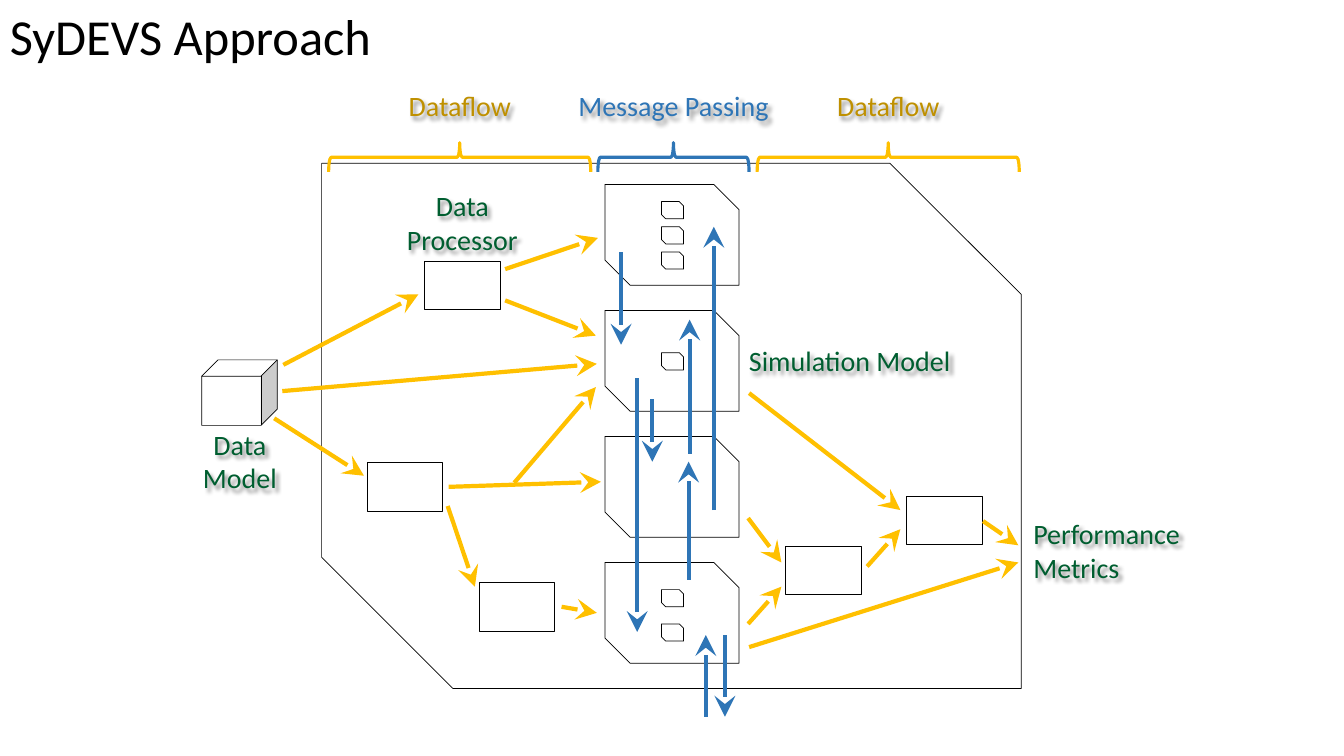
from lxml import etree
from pptx import Presentation
from pptx.dml.color import RGBColor
from pptx.enum.shapes import MSO_CONNECTOR, MSO_SHAPE
from pptx.enum.text import MSO_AUTO_SIZE, PP_ALIGN
from pptx.oxml import parse_xml
from pptx.oxml.ns import nsdecls, qn
from pptx.util import Inches, Pt

SNIP = MSO_SHAPE.SNIP_2_DIAG_RECTANGLE
RECT = MSO_SHAPE.RECTANGLE
CUBE = MSO_SHAPE.CUBE
BRACE = MSO_SHAPE.RIGHT_BRACE
LINE = MSO_CONNECTOR.STRAIGHT
GROW = MSO_AUTO_SIZE.SHAPE_TO_FIT_TEXT
LEFT, MID = PP_ALIGN.LEFT, PP_ALIGN.CENTER

BLACK, WHITE = "000000", "FFFFFF"
GOLD, OCHRE, BLUE, GREEN = "FFC000", "BF9000", "2E75B6", "005E30"

TITLE = "SyDEVS Approach"
FRAME = (3.19, 1.62, 6.94, 5.21)
MODELS = {"left": 6, "top": 1.83, "step": 1.25, "count": 4}
CELLS = [2, 2.25, 2.5, 3.5, 5.85, 6.19]
STORE = (2, 3.57, 0.75, 0.65)
NODES = [(4.21, 2.59), (3.64, 4.59), (4.75, 5.78), (7.79, 5.42), (8.99, 4.92)]
FLOWS = [
    (5.1, 4.79, 5.91, 3.84),
    (2.81, 3.62, 4.15, 2.92),
    (2.72, 4.15, 3.61, 4.72),
    (2.8, 3.88, 5.92, 3.61),
    (5.01, 2.67, 5.93, 2.36),
    (5.01, 2.98, 5.91, 3.33),
    (4.45, 4.83, 5.96, 4.78),
    (5.57, 6.02, 5.92, 6.08),
    (4.44, 5.02, 4.71, 5.82),
    (7.43, 3.9, 8.93, 5.06),
    (7.42, 5.14, 7.75, 5.58),
    (7.42, 6.19, 7.75, 5.82),
    (8.6, 5.62, 8.93, 5.25),
    (9.75, 5.17, 10.1, 5.41),
    (7.43, 6.42, 10.1, 5.58),
]
CALLS = [
    (6.16, 2.5, 3.42),
    (6.32, 3.75, 6.27),
    (6.83, 5.75, 4.58),
    (7.08, 5.06, 2.25),
    (6.84, 4.5, 3.17),
    (7, 7.11, 6.3),
    (7.19, 6.3, 7.11),
    (6.47, 3.96, 4.58),
]
SPANS = [
    ("Dataflow", 4.56, 2.6, 1.57, GOLD, OCHRE),
    ("Message Passing", 6.68, 1.5, 2.64, BLUE, BLUE),
    ("Dataflow", 8.81, 2.6, 1.57, GOLD, OCHRE),
]
LABELS = [
    (["Simulation Model"], (7.33, 3.36, 2.4, 0.44), LEFT),
    (["Data Processor"], (3.76, 1.82, 1.65, 0.77), MID),
    (["Data Model"], (1.88, 4.19, 1, 0.77), MID),
    (["Performance", "Metrics"], (10.15, 5.08, 1.85, 0.77), LEFT),
]
GLOW = (
    f'<a:effectLst {nsdecls("a")}><a:outerShdw blurRad="38100" dist="38100" '
    'dir="2700000" algn="tl"><a:srgbClr val="000000"><a:alpha val="43000"/>'
    "</a:srgbClr></a:outerShdw></a:effectLst>"
)

deck = Presentation()
deck.slide_width, deck.slide_height = Inches(13.33), Inches(7.5)
slide = deck.slides.add_slide(deck.slide_layouts[6])
shapes = slide.shapes


def color(code):
    return RGBColor.from_string(code)


def add_box(kind, box, line=BLACK, width=0.5, fill=WHITE):
    shape = shapes.add_shape(kind, *map(Inches, box))
    shape.shadow.inherit = False
    if fill:
        shape.fill.solid()
        shape.fill.fore_color.rgb = color(fill)
    else:
        shape.fill.background()
    shape.line.color.rgb = color(line)
    shape.line.width = Pt(width)
    if kind == SNIP:
        shape.adjustments[0] = 0
        shape.adjustments[1] = 0.25
    return shape


def add_arrow(ends, hue):
    arrow = shapes.add_connector(LINE, *map(Inches, ends))
    arrow.line.color.rgb = color(hue)
    arrow.line.width = Pt(3)
    tail = etree.SubElement(arrow.line._get_or_add_ln(), qn("a:tailEnd"))
    for key, value in (("type", "stealth"), ("w", "lg"), ("len", "lg")):
        tail.set(key, value)
    etree.SubElement(arrow._element.spPr, qn("a:effectLst"))


def add_text(lines, box, hue, align=LEFT, size=20, glow=True):
    label = shapes.add_textbox(*map(Inches, box))
    frame = label.text_frame
    frame.word_wrap = True
    frame.auto_size = GROW
    for i, line in enumerate(lines):
        para = frame.add_paragraph() if i else frame.paragraphs[0]
        para.alignment = align
        run = para.add_run()
        run.text = line
        run.font.name = "Calibri"
        run.font.size = Pt(size)
        run.font.color.rgb = color(hue)
    if glow:
        label._element.spPr.append(parse_xml(GLOW))


add_box(SNIP, FRAME)
for i in range(MODELS["count"]):
    top = MODELS["top"] + i * MODELS["step"]
    add_box(SNIP, (MODELS["left"], top, 1.33, 1))
for top in CELLS:
    add_box(SNIP, (6.56, top, 0.22, 0.17))
add_box(CUBE, STORE)
for left, top in NODES:
    add_box(RECT, (left, top, 0.75, 0.48))

for ends in FLOWS:
    add_arrow(ends, GOLD)
for x, start, end in CALLS:
    add_arrow((x, start, x, end), BLUE)

for name, mid, span, wide, edge, hue in SPANS:
    box = (mid - 0.145, 1.56 - span / 2, 0.29, span)
    add_box(BRACE, box, edge, 2.25, None).rotation = 270
    add_text([name], (mid - wide / 2, 0.83, wide, 0.44), hue, MID)
for lines, box, align in LABELS:
    add_text(lines, box, GREEN, align)
add_text([TITLE], (0, 0, 5.08, 0.71), BLACK, size=36, glow=False)

deck.save("out.pptx")
